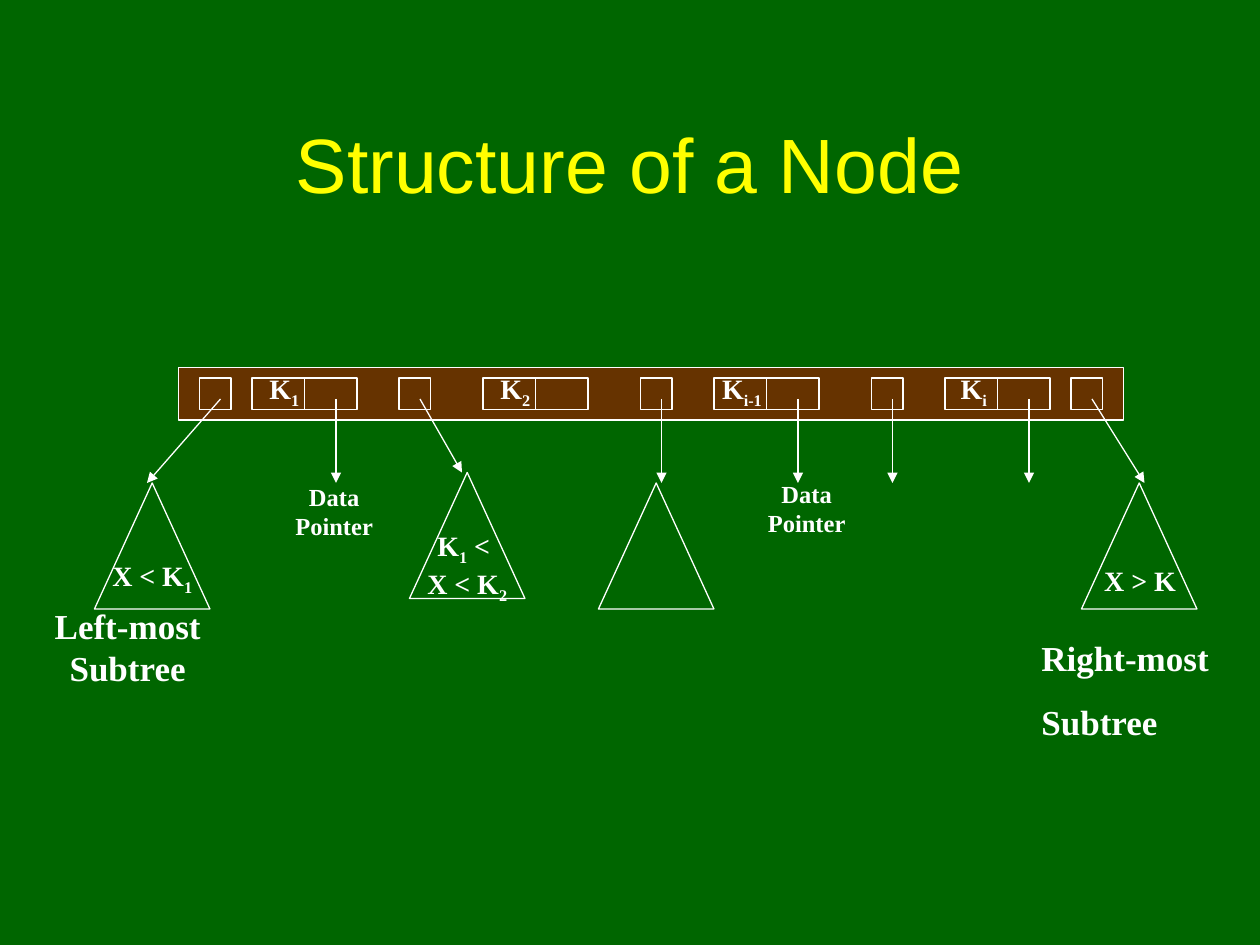
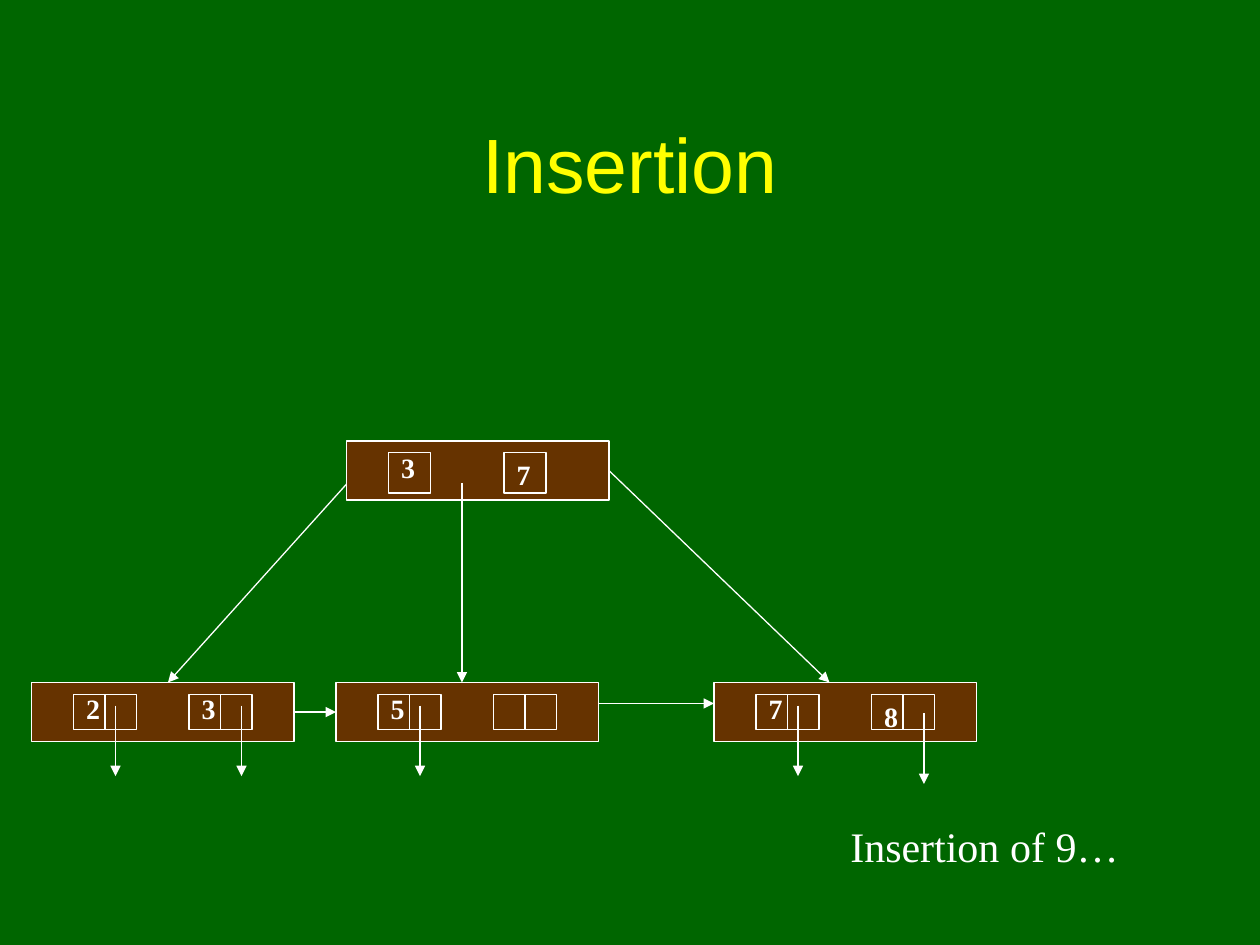
from collections import namedtuple
from dataclasses import dataclass

from lxml.etree import SubElement
from pptx import Presentation
from pptx.dml.color import RGBColor
from pptx.enum.shapes import MSO_CONNECTOR, MSO_SHAPE
from pptx.enum.text import MSO_ANCHOR, MSO_AUTO_SIZE, PP_ALIGN
from pptx.oxml.ns import qn
from pptx.util import Pt

TOP, LEFT, BOTTOM, RIGHT = range(4)
Side = namedtuple("Side", "shape site")


@dataclass(frozen=True)
class Theme:
    background: RGBColor = RGBColor(0x00, 0x66, 0x00)
    node: RGBColor = RGBColor(0x66, 0x33, 0x00)
    ink: RGBColor = RGBColor(0xFF, 0xFF, 0xFF)
    heading: RGBColor = RGBColor(0xFF, 0xFF, 0x00)
    heading_font: str = "Arial"
    body_font: str = "Times New Roman"
    heading_size: int = 44
    remark_size: int = 24
    subtree_size: int = 20
    key_size: int = 16
    pointer_size: int = 14
    line_width: float = 0.75


def write(frame, text, *, size, color, font, bold=False, align=PP_ALIGN.CENTER,
          anchor=MSO_ANCHOR.MIDDLE, wrap=False, gap=0):
    frame.word_wrap = wrap
    frame.vertical_anchor = anchor
    for index, content in enumerate(text.split("\n")):
        paragraph = frame.add_paragraph() if index else frame.paragraphs[0]
        paragraph.alignment = align
        paragraph.space_before = Pt(gap if index else 0)
        for part, piece in enumerate(content.split("_")):
            if not piece:
                continue
            run = paragraph.add_run()
            run.text = piece
            run.font.size = Pt(size)
            run.font.name = font
            run.font.bold = bold
            run.font.color.rgb = color
            if part % 2:
                run.font._element.set("baseline", "-25000")


class Deck:
    def __init__(self, theme):
        self.theme = theme
        self.presentation = Presentation()
        self.presentation.slide_width = Pt(720)
        self.presentation.slide_height = Pt(540)
        fill = self.presentation.slide_master.background.fill
        fill.solid()
        fill.fore_color.rgb = theme.background
        self.slide = None

    def new_slide(self, heading):
        self.slide = self.presentation.slides.add_slide(self.presentation.slide_layouts[5])
        title = self.slide.shapes.title
        title.left, title.top, title.width, title.height = map(Pt, (54, 48, 612, 90))
        title.text_frame.auto_size = MSO_AUTO_SIZE.NONE
        write(title.text_frame, heading, size=self.theme.heading_size, wrap=True,
              color=self.theme.heading, font=self.theme.heading_font)

    def label(self, text, x, y, width, height, size, bold=True, **layout):
        box = self.slide.shapes.add_textbox(Pt(x), Pt(y), Pt(width), Pt(height))
        box.text_frame.auto_size = MSO_AUTO_SIZE.SHAPE_TO_FIT_TEXT
        self.body(box.text_frame, text, size, bold=bold, **layout)

    def body(self, frame, text, size, **layout):
        write(frame, text, size=size, color=self.theme.ink, font=self.theme.body_font, **layout)

    def outline(self, x, y, width, height, kind=MSO_SHAPE.RECTANGLE, fill=None):
        shape = self.slide.shapes.add_shape(kind, Pt(x), Pt(y), Pt(width), Pt(height))
        shape.shadow.inherit = False
        if fill is None:
            shape.fill.background()
        else:
            shape.fill.solid()
            shape.fill.fore_color.rgb = fill
        self.stroke(shape)
        return shape

    def stroke(self, shape):
        shape.line.color.rgb = self.theme.ink
        shape.line.width = Pt(self.theme.line_width)

    def node(self, x, y, width, height):
        return self.outline(x, y, width, height, fill=self.theme.node)

    def split_cell(self, x, y, width, height):
        cell = self.outline(x, y, width, height)
        self.line(Side(cell, TOP), Side(cell, BOTTOM))

    def subtree(self, x, y, text=""):
        triangle = self.outline(x, y, 66, 72, MSO_SHAPE.FLOWCHART_EXTRACT)
        if text:
            self.body(triangle.text_frame, text, self.theme.key_size, bold=True)

    def line(self, start, end, arrow=False):
        points = [(0, 0) if isinstance(point, Side) else point for point in (start, end)]
        connector = self.slide.shapes.add_connector(
            MSO_CONNECTOR.STRAIGHT, *(Pt(value) for point in points for value in point))
        if isinstance(start, Side):
            connector.begin_connect(*start)
        if isinstance(end, Side):
            connector.end_connect(*end)
        self.stroke(connector)
        if arrow:
            SubElement(connector.get_or_add_ln(), qn("a:tailEnd"), type="triangle")
        SubElement(connector._element.spPr, qn("a:effectLst"))

    def arrow(self, start, end):
        self.line(start, end, arrow=True)


def node_structure(deck):
    theme = deck.theme
    deck.new_slide("Structure of a Node")
    deck.node(102, 210, 540, 30)

    keys = [(144, "K_1_", 18.5), (276, "K_2_", 18.5), (408, "K_i-1_", 16), (540, "K_i_", 16.5)]
    for x, key, center in keys:
        deck.split_cell(x, 216, 60, 18)
        deck.label(key, x + center - 21, 208.5, 42, 29.5, theme.key_size)
    for x in (192, 456, 588):
        deck.arrow((x, 228), (x, 276))

    tree_pointers = [(114, (84, 276)), (228, (264, 270)), (366, (378, 276)),
                     (498, (510, 276)), (612, (654, 276))]
    for x, target in tree_pointers:
        deck.outline(x, 216, 18, 18)
        deck.arrow((x + 12, 228), target)

    for x, y in ((159, 271.5), (429, 270)):
        deck.label("Data\nPointer", x, y, 64, 41, theme.pointer_size)

    subtrees = [(54, 276, "X < K_1_"), (234, 270, "K_1_ < \nX < K_2_"),
                (342, 276, ""), (618, 276, "")]
    for x, y, condition in subtrees:
        deck.subtree(x, y, condition)
    deck.label("X > K", 620, 318.5, 63, 26.6, theme.key_size)
    deck.label("Left-most\nSubtree", 22, 341.5, 102, 55.5, theme.subtree_size)
    deck.label("Right-most\nSubtree", 588, 360, 114, 67.7, theme.subtree_size,
               align=PP_ALIGN.LEFT, anchor=MSO_ANCHOR.TOP, wrap=True, gap=12.5)


def leaf(deck, x, entries):
    block = deck.node(x, 390, 150, 33.8)
    for column, (digit, drop) in enumerate(entries):
        cell_x = x + 24 + 66 * column
        deck.split_cell(cell_x, 396.8, 36, 20)
        if digit:
            deck.label(digit, cell_x, 391.7 + drop, 22.4, 26.6, deck.theme.key_size)
            pointer_x = cell_x + 24 + 6 * column
            deck.arrow((pointer_x, 403.2 + drop), (pointer_x, 443.5 + drop))
    return block


def insertion(deck):
    theme = deck.theme
    deck.new_slide("Insertion")
    left_leaf = leaf(deck, 18, [("2", 0), ("3", 0)])
    middle_leaf = leaf(deck, 192, [("5", 0), ("", 0)])
    leaf(deck, 408, [("7", 0), ("8", 4.5)])
    deck.arrow(Side(left_leaf, RIGHT), Side(middle_leaf, LEFT))
    deck.arrow((342, 402), (408, 402))

    deck.arrow((204, 270), (96, 390))
    root = deck.node(198, 252, 150, 33.8)
    for x, digit, y in ((222, "3", 253.6), (288, "7", 257.8)):
        deck.outline(x, 258.5, 24, 23.3)
        deck.label(digit, x, y, 22.4, 26.6, theme.key_size)
    deck.arrow((264, 276), (264, 390))
    deck.arrow(Side(root, RIGHT), (474, 390))

    deck.label("Insertion of 9…", 478.8, 465.3, 168, 36, theme.remark_size, bold=False,
               align=PP_ALIGN.LEFT, anchor=MSO_ANCHOR.TOP)


def main():
    deck = Deck(Theme())
    node_structure(deck)
    insertion(deck)
    deck.presentation.save("out.pptx")


if __name__ == "__main__":
    main()
